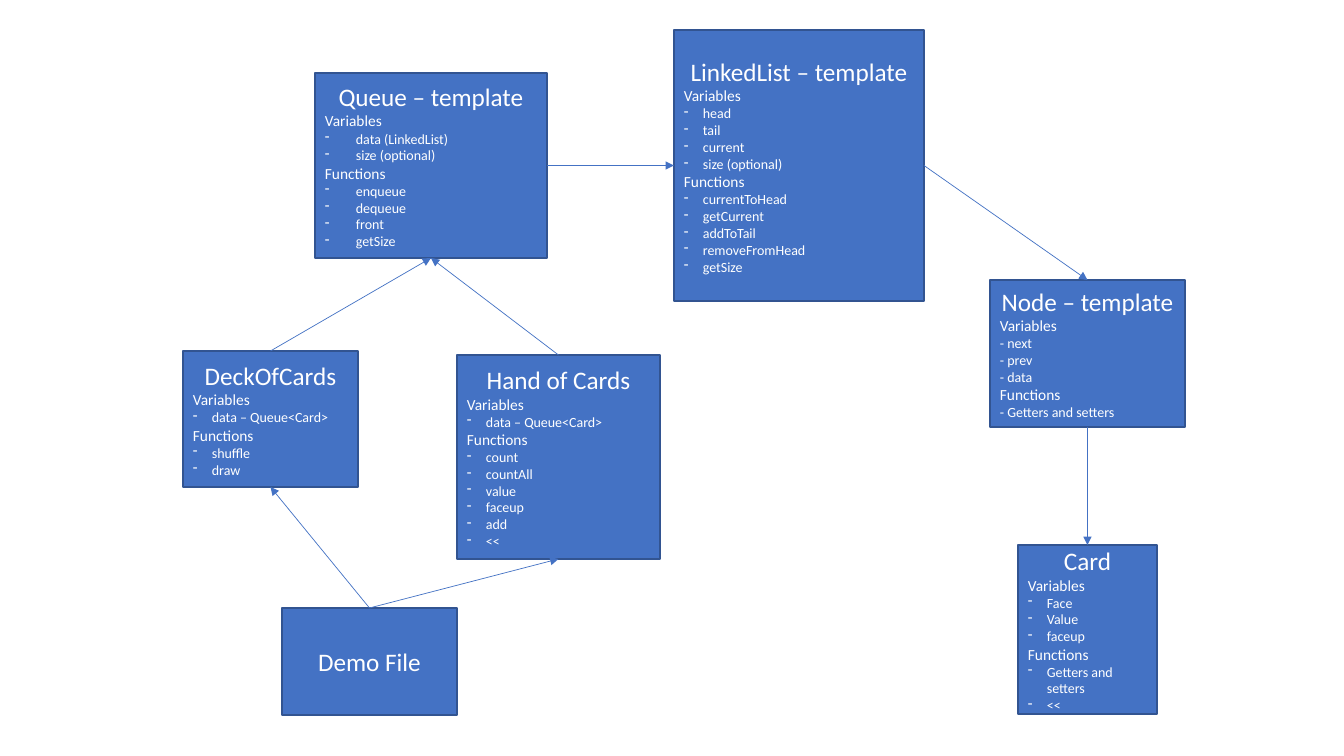
import pptx
import pptx.util
import pptx.dml.color
import pptx.enum.shapes
import pptx.enum.text
import pptx.oxml.ns
import lxml.etree

SCALE = 914400 / 100.8
TOP, LEFT, BOTTOM, RIGHT = range(4)
ALIGN = pptx.enum.text.PP_ALIGN


def color(target, code):
    """Set a fill, line or font to a solid hex colour."""
    if hasattr(target, "solid"):
        target.solid()
        target = target.fore_color
    else:
        target = target.color
    target.rgb = pptx.dml.color.RGBColor.from_string(code)


def add(parent, tag, **attrs):
    """Append a drawing element with the given attributes."""
    name = pptx.oxml.ns.qn("a:" + tag)
    return lxml.etree.SubElement(parent, name, **attrs)


deck = pptx.Presentation()
deck.slide_width = round(1344 * SCALE)
deck.slide_height = round(756 * SCALE)
slide = deck.slides.add_slide(deck.slide_layouts[6])

# name: title, place in pixels, bullet indent (0 means a typed dash), variables, functions
classes = {
    "card": ("Card", (1018, 545, 139, 169), 19,
             ["Face", "Value", "faceup"],
             ["Getters and setters", "<<"]),
    "node": ("Node – template", (990, 280, 195, 147), 0,
             ["next", "prev", "data"],
             ["Getters and setters"]),
    "list": ("LinkedList – template", (674, 30, 250, 271), 19,
             ["head", "tail", "current", "size (optional)"],
             ["currentToHead", "getCurrent", "addToTail", "removeFromHead", "getSize"]),
    "queue": ("Queue – template", (315, 73, 232, 185), 31,
              ["data (LinkedList)", "size (optional)"],
              ["enqueue", "dequeue", "front", "getSize"]),
    "pack": ("DeckOfCards", (183, 351, 175, 136), 19,
             ["data – Queue<Card>"],
             ["shuffle", "draw"]),
    "hand": ("Hand of Cards", (457, 355, 203, 204), 19,
             ["data – Queue<Card>"],
             ["count", "countAll", "value", "faceup", "add", "<<"]),
    "demo": ("Demo File", (282, 608, 175, 107), 0, [], []),
}

boxes = {}
for name, (title, place, indent, fields, calls) in classes.items():
    box = slide.shapes.add_shape(
        pptx.enum.shapes.MSO_SHAPE.RECTANGLE, *[round(n * SCALE) for n in place])
    box.shadow.inherit = False
    color(box.fill, "4472C4")
    color(box.line, "325491")
    box.line.width = pptx.util.Pt(1)
    boxes[name] = box

    rows = [(title, 18)]
    for head, members in (("Variables", fields), ("Functions", calls)):
        if members:
            rows.append((head, 11))
            rows += [(member, 10) for member in members]

    frame = box.text_frame
    frame.word_wrap = True
    frame.vertical_anchor = pptx.enum.text.MSO_ANCHOR.MIDDLE
    for i, (text, size) in enumerate(rows):
        para = frame.add_paragraph() if i else frame.paragraphs[0]
        para.alignment = ALIGN.LEFT if i else ALIGN.CENTER
        if size == 10 and indent:
            props = para._p.get_or_add_pPr()
            wide = round(indent * SCALE)
            props.set("marL", str(wide))
            props.set("indent", str(-wide))
            add(props, "buFontTx")
            add(props, "buChar", char="-")
        elif size == 10:
            text = "- " + text
        run = para.add_run()
        run.text = text
        run.font.name = "Calibri"
        run.font.size = pptx.util.Pt(size)
        color(run.font, "FFFFFF")

links = [
    ("node", BOTTOM, "card", TOP),
    ("list", RIGHT, "node", TOP),
    ("queue", RIGHT, "list", LEFT),
    ("pack", TOP, "queue", BOTTOM),
    ("hand", TOP, "queue", BOTTOM),
    ("demo", TOP, "pack", BOTTOM),
    ("demo", TOP, "hand", BOTTOM),
]
for start, out, end, into in links:
    arrow = slide.shapes.add_connector(
        pptx.enum.shapes.MSO_CONNECTOR.STRAIGHT, 0, 0, 0, 0)
    arrow.begin_connect(boxes[start], out)
    arrow.end_connect(boxes[end], into)
    color(arrow.line, "4472C4")
    arrow.line.width = pptx.util.Pt(0.5)
    add(arrow.line._get_or_add_ln(), "tailEnd", type="triangle")
    add(arrow._element.spPr, "effectLst")

deck.save("out.pptx")
